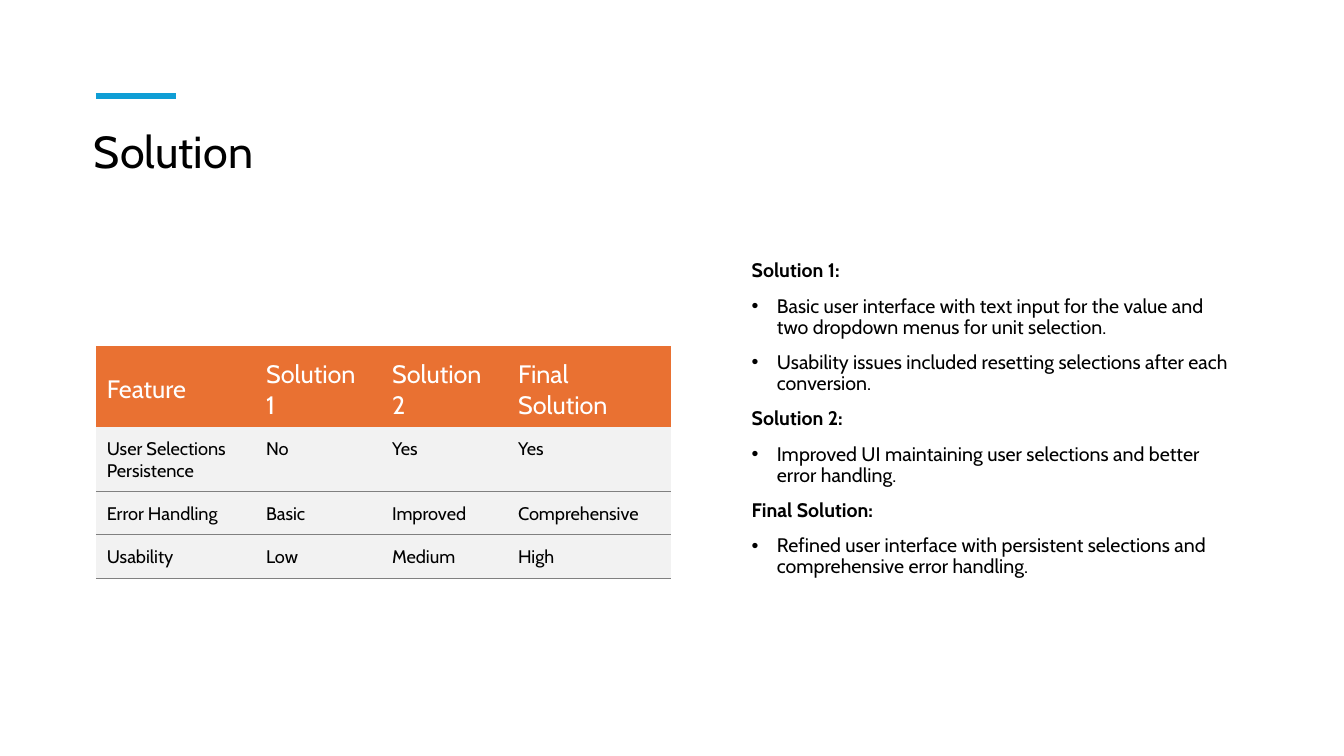
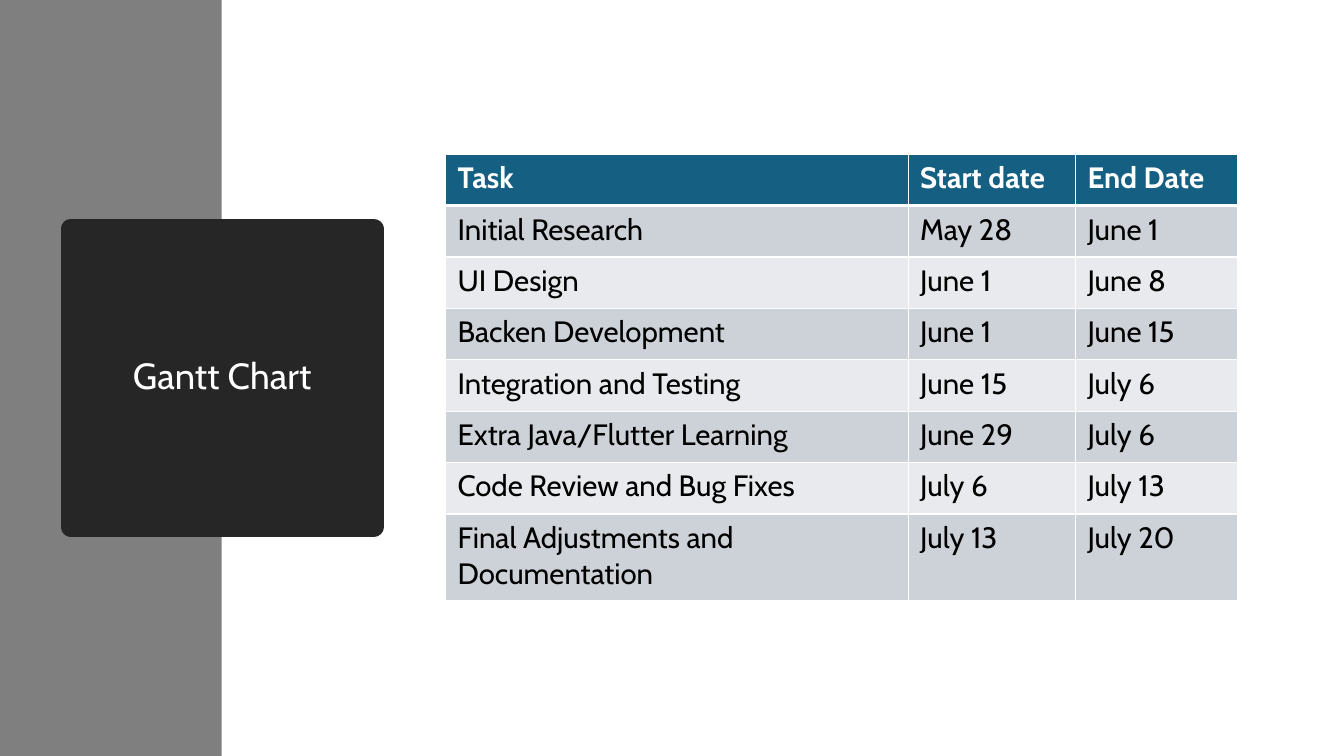
import pptx
import pptx.dml.color
import pptx.enum.shapes
import pptx.enum.text
import pptx.oxml.ns
import pptx.util
from lxml import etree

# Shared look
COLORS = {
    "ink": "000000", "paper": "FFFFFF", "accent": "0F9ED5",
    "orange": "E97132", "pale": "F2F2F2", "rule": "808080",
    "panel": "7F7F7F", "tile": "262626",
    "teal": "156082", "band_dark": "CCD2D8", "band_light": "E8EAED",
}
FONT = "Cabin"
SLIDE_WIDTH, SLIDE_HEIGHT = pptx.util.Emu(12192000), pptx.util.Inches(7.5)
GRID_COLUMNS, GRID_ROWS = 40, 30
LINE_SPACING = 0.9
BULLET_INDENT = pptx.util.Inches(0.25)
ANCHOR = pptx.enum.text.MSO_ANCHOR
SHAPES = pptx.enum.shapes.MSO_SHAPE

# Content
COMPARISON = [
    ["Feature", "Solution 1", "Solution 2", "Final Solution"],
    ["User Selections Persistence", "No", "Yes", "Yes"],
    ["Error Handling", "Basic", "Improved", "Comprehensive"],
    ["Usability", "Low", "Medium", "High"],
]
SOLUTIONS = {
    "Solution 1:": [
        "Basic user interface with text input for the value and two dropdown menus for unit selection.",
        "Usability issues included resetting selections after each conversion.",
    ],
    "Solution 2:": ["Improved UI maintaining user selections and better error handling."],
    "Final Solution:": [
        "Refined user interface with persistent selections and comprehensive error handling.",
    ],
}
SCHEDULE = [
    ["Task", "Start date", "End Date"],
    ["Initial Research", "May 28", "June 1"],
    ["UI Design", "June 1", "June 8"],
    ["Backen Development", "June 1", "June 15"],
    ["Integration and Testing", "June 15", "July 6"],
    ["Extra Java/Flutter Learning", "June 29", "July 6"],
    ["Code Review and Bug Fixes", "July 6", "July 13"],
    ["Final Adjustments and Documentation", "July 13", "July 20"],
]


def across(columns):
    return round(SLIDE_WIDTH * columns / GRID_COLUMNS)


def down(rows):
    return round(SLIDE_HEIGHT * rows / GRID_ROWS)


def place(left, top, width, height):
    return across(left), down(top), across(width), down(height)


def rgb(name):
    return pptx.dml.color.RGBColor.from_string(COLORS[name])


def add_xml(parent, tag, **attributes):
    return etree.SubElement(parent, pptx.oxml.ns.qn(tag), attributes)


def style_text(paragraph, size, color="ink", bold=False):
    for span in paragraph.runs:
        span.font.name = FONT
        span.font.size = pptx.util.Pt(size)
        span.font.bold = bold
        span.font.color.rgb = rgb(color)


def add_blank_slide(deck):
    return deck.slides.add_slide(deck.slide_layouts[6])


def set_title(frame, text, size, color="ink"):
    frame.word_wrap = True
    frame.text = text
    frame.paragraphs[0].line_spacing = LINE_SPACING
    style_text(frame.paragraphs[0], size, color)


def add_block(page, area, color):
    box = page.shapes.add_shape(SHAPES.RECTANGLE, *place(*area))
    box.shadow.inherit = False
    box.fill.solid()
    box.fill.fore_color.rgb = rgb(color)
    box.line.fill.background()
    return box


def add_rule(page, left, top, length, color, weight):
    start, end, level = across(left), across(left + length), down(top)
    rule = page.shapes.add_connector(
        pptx.enum.shapes.MSO_CONNECTOR.STRAIGHT, start, level, end, level)
    rule.line.color.rgb = rgb(color)
    rule.line.width = pptx.util.Pt(weight)
    add_xml(rule.element.spPr, "a:effectLst")


def add_outline(page, area, outline):
    """Add headings, each followed by its bulleted points."""
    frame = page.shapes.add_textbox(*place(*area)).text_frame
    frame.word_wrap = True
    lines = [(text, text == heading)
             for heading, points in outline.items()
             for text in (heading, *points)]
    for index, (text, is_heading) in enumerate(lines):
        para = frame.add_paragraph() if index else frame.paragraphs[0]
        para.text = text
        para.line_spacing = LINE_SPACING
        para.space_before = pptx.util.Pt(10)
        style_text(para, 14, bold=is_heading)
        if not is_heading:
            properties = para._p.get_or_add_pPr()
            properties.set("marL", str(BULLET_INDENT))
            properties.set("indent", str(-BULLET_INDENT))
            add_xml(properties, "a:buFont", typeface="Arial")
            add_xml(properties, "a:buChar", char="•")


def set_borders(cell, borders):
    """Draw the sides given as (color, points); hide the others."""
    properties = cell._tc.get_or_add_tcPr()
    for side in "LRTB":
        color, weight = borders.get(side, (None, 0))
        line = add_xml(properties, f"a:ln{side}", w=str(pptx.util.Pt(weight)))
        if color:
            add_xml(add_xml(line, "a:solidFill"), "a:srgbClr", val=COLORS[color])
        else:
            add_xml(line, "a:noFill")


def add_grid(page, left, top, widths, heights, rows, margins, cell_style):
    """Add a table; cell_style(row) gives fill, borders, anchor and text style."""
    table = page.shapes.add_table(
        len(rows), len(widths),
        *place(left, top, sum(widths), sum(heights))).table
    table.first_row = table.horz_banding = False
    for column, width in zip(table.columns, widths):
        column.width = across(width)
    for index, (values, height) in enumerate(zip(rows, heights)):
        table.rows[index].height = down(height)
        fill, borders, anchor, text_style = cell_style(index)
        for cell, value in zip(table.rows[index].cells, values):
            (cell.margin_left, cell.margin_top, cell.margin_right,
             cell.margin_bottom) = map(pptx.util.Inches, margins)
            cell.vertical_anchor = anchor
            set_borders(cell, borders)
            cell.fill.solid()
            cell.fill.fore_color.rgb = rgb(fill)
            cell.text = value
            style_text(cell.text_frame.paragraphs[0], **text_style)


def comparison_style(row):
    if row == 0:
        return "orange", {}, ANCHOR.MIDDLE, {"size": 18, "color": "paper"}
    rule = ("rule", 0.75)
    borders = {"B": rule} if row == 1 else {"T": rule, "B": rule}
    return "pale", borders, ANCHOR.TOP, {"size": 13}


def schedule_style(row):
    borders = dict.fromkeys("LRTB", ("paper", 1))
    if row == 0:
        borders["B"] = ("paper", 3)
        return "teal", borders, ANCHOR.TOP, {"size": 21, "color": "paper", "bold": True}
    if row == 1:
        borders["T"] = ("paper", 3)
    fill = "band_dark" if row % 2 else "band_light"
    return fill, borders, ANCHOR.TOP, {"size": 21}


def build_solution(deck):
    page = add_blank_slide(deck)
    # Heading
    title = page.shapes.add_textbox(*place(2.5, 4.96, 29.73, 4.6))
    set_title(title.text_frame, "Solution", 32)
    add_rule(page, 2.85, 3.8, 2.4, "accent", 4.5)
    # Details and comparison
    add_outline(page, (22.08, 10.16, 15, 16.72), SOLUTIONS)
    add_grid(page, 2.85, 13.75, [4.74, 3.75, 3.75, 4.89],
             [3.2, 2.56, 1.72, 1.72], COMPARISON,
             (0.11, 0.11, 0.11, 0.05), comparison_style)


def build_schedule(deck):
    page = add_blank_slide(deck)
    # Side panel with the title tile
    add_block(page, (0, 0, 6.6, GRID_ROWS), "panel")
    tile = add_block(page, (2.1, 9.08, 9.03, 11.84), "tile")
    tile.line.color.rgb = rgb("tile")
    tile.line.width = pptx.util.Pt(13.75)
    add_xml(tile.line._get_or_add_ln(), "a:round")
    set_title(tile.text_frame, "Gantt Chart", 26, "paper")
    tile.text_frame.vertical_anchor = ANCHOR.MIDDLE
    tile.text_frame.paragraphs[0].alignment = pptx.enum.text.PP_ALIGN.CENTER
    # Schedule
    add_grid(page, 13.26, 6.12, [13.77, 4.98, 4.83],
             [2.04] * 7 + [3.44], SCHEDULE,
             (0.12, 0.06, 0.12, 0.06), schedule_style)


def main():
    deck = pptx.Presentation()
    deck.slide_width, deck.slide_height = SLIDE_WIDTH, SLIDE_HEIGHT
    build_solution(deck)
    build_schedule(deck)
    deck.save("out.pptx")


if __name__ == "__main__":
    main()
